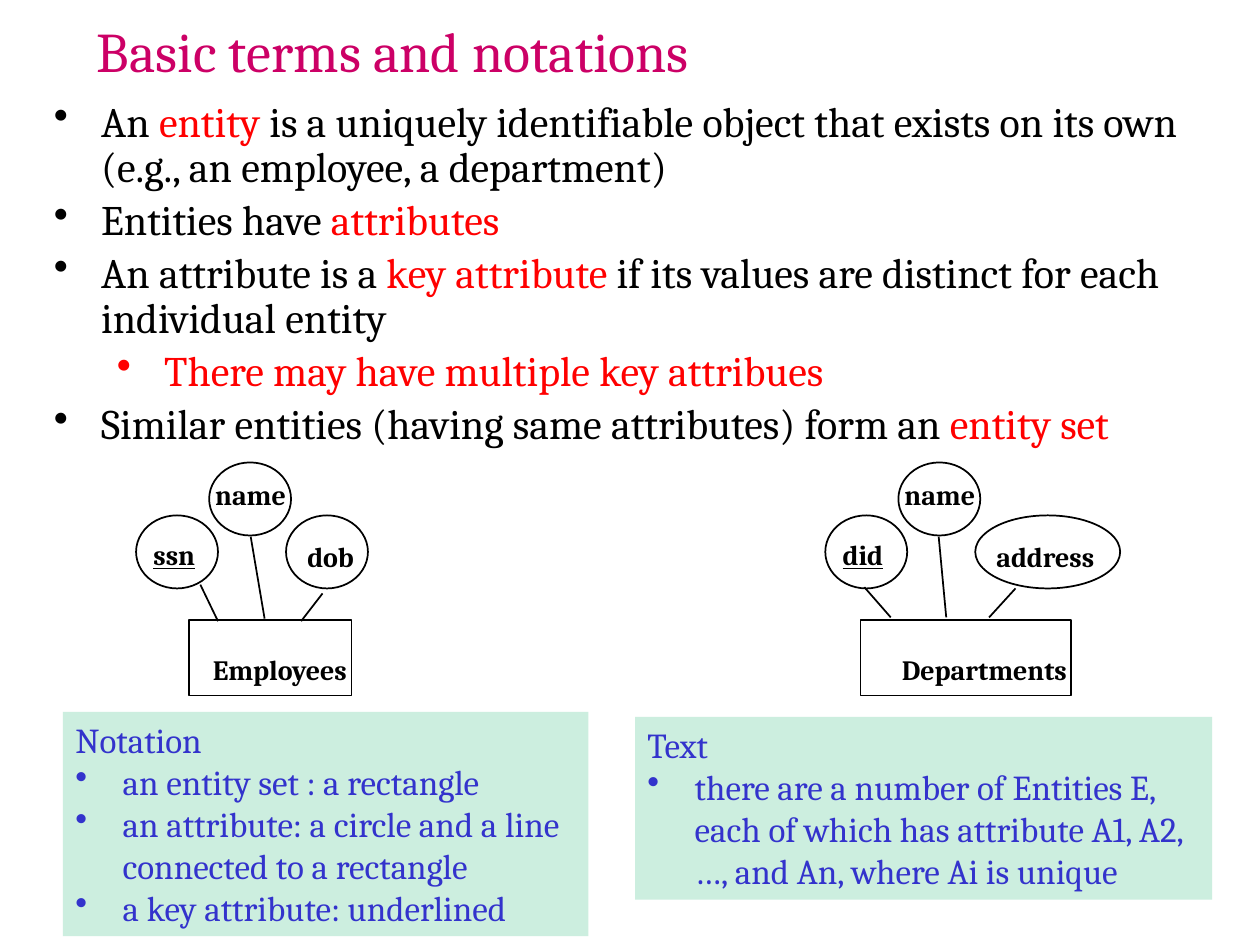
import pptx
import pptx.util
import pptx.dml.color
import pptx.enum.shapes
import pptx.enum.text
import pptx.oxml.ns
import lxml.etree

COLS, ROWS = 100, 75
WIDE, HIGH = pptx.util.Inches(10), pptx.util.Inches(7.5)
FONT, BLACK, RED, BLUE = "Cambria", "000000", "FF0000", "3333CC"
KIND = pptx.enum.shapes.MSO_SHAPE
HANG = pptx.util.Inches(0.375)


def tint(code):
    """Turn a hex string into a colour."""
    return pptx.dml.color.RGBColor.from_string(code)


def grid(left, top, *size):
    """Turn grid columns and rows into slide lengths."""
    return [int(n * (HIGH / ROWS if i % 2 else WIDE / COLS))
            for i, n in enumerate((left, top, *size))]


def style(item, form):
    """Set each attribute named in the format."""
    for key, value in form.items():
        setattr(item, key, value)


def bullet(para, level=0):
    """Give a paragraph a hanging bullet."""
    para.level = level
    props = para._p.get_or_add_pPr()
    props.set("marL", str(HANG + level * pptx.util.Inches(0.5)))
    props.set("indent", str(-HANG))
    mark = lxml.etree.SubElement(props, pptx.oxml.ns.qn("a:buChar"))
    mark.set("char", "•")


def write(para, runs, size, **form):
    """Add coloured runs to a paragraph."""
    para.alignment = pptx.enum.text.PP_ALIGN.LEFT
    for words, code in runs:
        run = para.add_run()
        run.text = words
        style(run.font, {"name": FONT, "size": pptx.util.Pt(size), **form})
        run.font.color.rgb = tint(code)


def frame(slide, box, wrap=True):
    """Add an empty text box and return its frame."""
    body = slide.shapes.add_textbox(*grid(*box)).text_frame
    body.word_wrap = wrap
    return body


def label(slide, box, words, **form):
    """Place a bold diagram label."""
    write(frame(slide, box, False).paragraphs[0], [(words, BLACK)], 16,
          bold=True, **form)


def shape(slide, kind, box, fill=None, line=None):
    """Place a flat preset shape."""
    item = slide.shapes.add_shape(kind, *grid(*box))
    item.shadow.inherit = False
    if fill:
        item.fill.solid()
        item.fill.fore_color.rgb = tint(fill)
    else:
        item.fill.background()
    if line:
        item.line.color.rgb = tint(line)
        item.line.width = pptx.util.Pt(1)
    else:
        item.line.fill.background()
    return item


def link(slide, start, end):
    """Draw a thin straight line."""
    item = slide.shapes.add_connector(
        pptx.enum.shapes.MSO_CONNECTOR.STRAIGHT, *grid(*start, *end))
    item.line.color.rgb = tint(BLACK)
    item.line.width = pptx.util.Pt(1)
    lxml.etree.SubElement(item._element.spPr, pptx.oxml.ns.qn("a:effectLst"))


def title(slide, box):
    """Place the heading."""
    write(frame(slide, box).paragraphs[0],
          [("Basic terms and notations", "CC0066")], 32)


def terms(slide, box, rows):
    """Place the bulleted definitions."""
    body = frame(slide, box)
    for i, (level, runs) in enumerate(rows):
        para = body.add_paragraph() if i else body.paragraphs[0]
        style(para, {"line_spacing": 0.9, "space_before": pptx.util.Pt(4.3)})
        bullet(para, level)
        write(para, runs, 24)


def entity(slide, box, name, key, last, lines):
    """Draw an entity set with its three attributes."""
    left, top, width, indent = box
    word, span, room = last
    for x, y, w in ((5.8, 0, 6.5), (0, 4.2, 6.5), (11.9, 4.2, span)):
        shape(slide, KIND.OVAL, (left + x, top + y, w, 5.8), line=BLACK)
    shape(slide, KIND.RECTANGLE, (left + indent, top + 12.5, width, 6),
          line=BLACK)
    label(slide, (left + 5.3, top + 0.7, 7.8, 3.6), "name")
    label(slide, (left + 0.4, top + 5.5, 5.4, 3.7), key, underline=True)
    label(slide, (left + 12.6, top + 5.6, room, 3.7), word)
    label(slide, (left + 5.1, top + 14.6, width, 3.6), name)
    for x, y, u, v in lines:
        link(slide, (left + x, top + y), (left + u, top + v))


def panel(slide, box, head, rows):
    """Place a tinted note with a heading and bullets."""
    body = shape(slide, KIND.RECTANGLE, box, fill="CCEEDF").text_frame
    style(body, {"word_wrap": True,
                 "vertical_anchor": pptx.enum.text.MSO_ANCHOR.TOP})
    write(body.paragraphs[0], [(head, BLUE)], 20)
    for words in rows:
        para = body.add_paragraph()
        bullet(para)
        write(para, [(words, BLUE)], 20)


def main():
    """Build and save the slide."""
    deck = pptx.Presentation()
    style(deck, {"slide_width": WIDE, "slide_height": HIGH})
    slide = deck.slides.add_slide(deck.slide_layouts[6])
    terms(slide, (3.3, 7.5, 93.3, 27.5), [
        (0, [("An ", BLACK), ("entity ", RED),
             ("is a uniquely identifiable object that exists on its own "
              "(e.g., an employee, a department)", BLACK)]),
        (0, [("Entities have ", BLACK), ("attributes", RED)]),
        (0, [("An attribute is a ", BLACK), ("key attribute ", RED),
             ("if its values are distinct for each individual entity",
              BLACK)]),
        (1, [("There may have multiple key attribues", RED)]),
        (0, [("Similar entities (having same attributes) form an ", BLACK),
             ("entity set", RED)])])
    title(slide, (6.7, 0.8, 87.5, 6.4))
    entity(slide, (10.8, 36.7, 12.9, 4.2), "Employees", "ssn",
           ("dob", 6.5, 6.1),
           [(5.1, 9.7, 6.5, 12.6), (9.1, 5.9, 10.2, 12.4),
            (14.8, 10.4, 13.1, 12.6)])
    entity(slide, (65.5, 36.7, 16.7, 2.8), "Departments", "did",
           ("address", 11.5, 10.2),
           [(3.1, 9.9, 5.2, 12.3), (9, 5.9, 9.6, 12.3),
            (15.1, 10, 13, 12.3)])
    panel(slide, (5, 56.5, 41.7, 17.8), "Notation", [
        "an entity set : a rectangle",
        "an attribute: a circle and a line connected to a rectangle",
        "a key attribute: underlined"])
    panel(slide, (50.4, 56.9, 45.8, 14.5), "Text", [
        "there are a number of Entities E, each of which has attribute "
        "A1, A2, …, and An, where Ai is unique"])
    deck.save("out.pptx")


if __name__ == "__main__":
    main()
